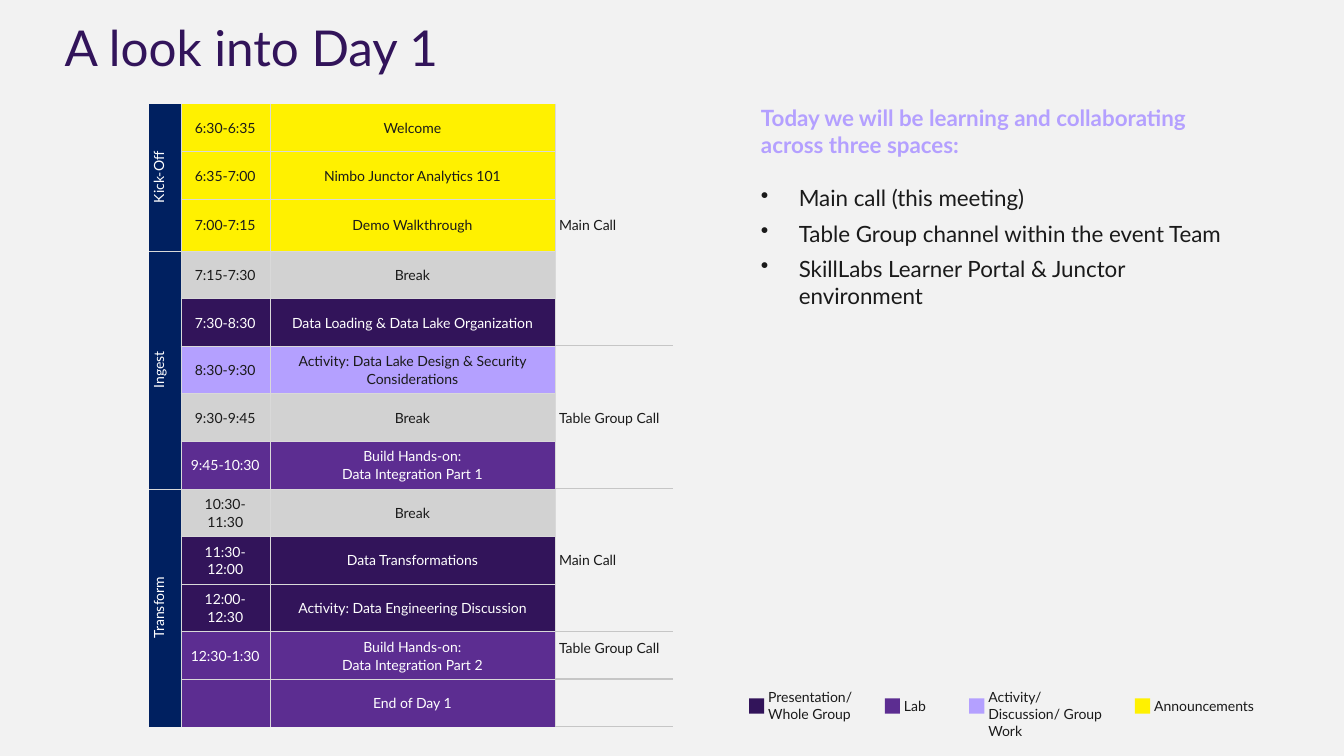
from collections import namedtuple
from dataclasses import dataclass

from lxml import etree
from pptx import Presentation
from pptx.dml.color import RGBColor
from pptx.enum.shapes import MSO_SHAPE
from pptx.enum.text import MSO_ANCHOR, PP_ALIGN
from pptx.oxml.ns import qn
from pptx.util import Pt

RECTANGLE = MSO_SHAPE.RECTANGLE
MIDDLE = MSO_ANCHOR.MIDDLE
CENTER, LEFT = PP_ALIGN.CENTER, PP_ALIGN.LEFT

Box = namedtuple("Box", "left top width height")


@dataclass(frozen=True)
class Theme:
    font: str = "Lato"
    background: str = "F2F2F2"
    ink: str = "1A1A1A"
    white: str = "FFFFFF"
    navy: str = "002060"
    presentation: str = "32145A"
    lab: str = "5C2D91"
    activity: str = "B4A0FF"
    announcement: str = "FFF100"
    pause: str = "D2D2D2"
    grid: str = "D9D9D9"
    divider: str = "C6C6C6"
    title_size: float = 35.3
    body_size: float = 16
    small_size: float = 10


THEME = Theme()
DARK_FILLS = (THEME.navy, THEME.presentation, THEME.lab)
GRID_LINE = (THEME.grid, 0.25)
DIVIDER_LINE = (THEME.divider, 1)

SESSIONS = [
    ("6:30-6:35", "Welcome", THEME.announcement),
    ("6:35-7:00", "Nimbo Junctor Analytics 101", THEME.announcement),
    ("7:00-7:15", "Demo Walkthrough", THEME.announcement),
    ("7:15-7:30", "Break", THEME.pause),
    ("7:30-8:30", "Data Loading & Data Lake Organization", THEME.presentation),
    ("8:30-9:30", "Activity: Data Lake Design & Security Considerations", THEME.activity),
    ("9:30-9:45", "Break", THEME.pause),
    ("9:45-10:30", "Build Hands-on:\nData Integration Part 1", THEME.lab),
    ("10:30-11:30", "Break", THEME.pause),
    ("11:30-12:00", "Data Transformations", THEME.presentation),
    ("12:00-12:30", "Activity: Data Engineering Discussion", THEME.presentation),
    ("12:30-1:30", "Build Hands-on:\nData Integration Part 2", THEME.lab),
    ("", "End of Day 1", THEME.lab),
]
STAGES = [("Kick-Off", 3), ("Ingest", 5), ("Transform", 5)]
PLACES = [("Main Call", 5), ("Table Group Call", 3), ("Main Call", 3),
          ("Table Group Call", 1), ("", 1)]
COLUMN_WIDTHS = (22.6, 63.6, 203.8, 84)
ROW_HEIGHT, DEMO_ROW, DEMO_ROW_HEIGHT = 34, 2, 36.8
LAST_CALL_ROW, LAST_CALL_LIFT = 11, 11.5

HEADING = "Today we will be learning and collaborating across three spaces:"
SPACES = ["Main call (this meeting)", "Table Group channel within the event Team",
          "SkillLabs Learner Portal & Junctor environment"]
LEGEND = [  # label, colour, label width, lines
    ("Presentation/\nWhole Group", THEME.presentation, 69.8, 2),
    ("Lab", THEME.lab, 33.1, 1),
    ("Activity/ Discussion/ Group Work", THEME.activity, 91.2, 2),
    ("Announcements", THEME.announcement, 83.5, 1),
]


def set_all(target, values):
    for name, value in values.items():
        setattr(target, name, value)


def format_paragraph(paragraph, size, color, bold=False, **values):
    set_all(paragraph, values)
    for run in paragraph.runs:
        set_all(run.font, {"name": THEME.font, "size": Pt(size), "bold": bold})
        run.font.color.rgb = RGBColor.from_string(color)


def add_text_box(slide, box, text, margins=(0, 0, 0, 0)):
    frame = slide.shapes.add_textbox(*map(Pt, box)).text_frame
    sides = ("margin_left", "margin_top", "margin_right", "margin_bottom")
    set_all(frame, dict(zip(sides, map(Pt, margins))))
    frame.word_wrap = True
    frame.text = text
    return frame


def add_title(slide, box):
    frame = add_text_box(slide, box, "A look into Day 1", (14.4, 11.5, 14.4, 11.5))
    format_paragraph(frame.paragraphs[0], THEME.title_size, THEME.presentation, line_spacing=0.9)


def set_borders(cell, borders):
    """Draw the given sides (L, R, T, B) and clear the others."""
    properties = cell._tc.get_or_add_tcPr()
    for index, side in enumerate("LRTB"):
        line = etree.Element(qn(f"a:ln{side}"))
        if side in borders:
            color, width = borders[side]
            line.set("w", str(Pt(width)))
            fill = etree.SubElement(line, qn("a:solidFill"))
            etree.SubElement(fill, qn("a:srgbClr"), val=color)
        else:
            etree.SubElement(line, qn("a:noFill"))
        properties.insert(index, line)


def fill_cell(cell, text, color, margin, alignment=CENTER):
    cell.fill.solid()
    cell.fill.fore_color.rgb = RGBColor.from_string(color)
    set_all(cell, {"vertical_anchor": MIDDLE, "margin_left": Pt(margin),
                   "margin_right": Pt(margin), "margin_top": 0, "margin_bottom": 0})
    cell.text = text
    ink = THEME.white if color in DARK_FILLS else THEME.ink
    for paragraph in cell.text_frame.paragraphs:
        format_paragraph(paragraph, THEME.small_size, ink, alignment=alignment, line_spacing=1.07)


def fill_spans(table, column, spans, color, margin, alignment, line, outer_sides):
    """Merge a column into labelled spans with a line between neighbours."""
    row = 0
    for text, count in spans:
        last = row + count - 1
        for index in range(row, last + 1):
            cell = table.cell(index, column)
            fill_cell(cell, text if index == row else "", color, margin, alignment)
            borders = dict.fromkeys(outer_sides, GRID_LINE)
            if index == row and row > 0:
                borders["T"] = line
            if index in (row, last) and (last < len(SESSIONS) - 1 or line == DIVIDER_LINE):
                borders["B"] = line
            set_borders(cell, borders)
        if count > 1:
            table.cell(row, column).merge(table.cell(last, column))
        row = last + 1


def add_agenda(slide, box):
    frame = slide.shapes.add_table(len(SESSIONS), len(COLUMN_WIDTHS), *map(Pt, box))
    table = frame.table
    set_all(table, {"first_row": False, "horz_banding": False})
    for column, width in zip(table.columns, COLUMN_WIDTHS):
        column.width = Pt(width)
    for index, row in enumerate(table.rows):
        row.height = Pt(DEMO_ROW_HEIGHT if index == DEMO_ROW else ROW_HEIGHT)

    for index, (time, title, color) in enumerate(SESSIONS):
        sides = "LR" + ("T" if index else "") + ("B" if index < len(SESSIONS) - 1 else "")
        for column, text, margin in ((1, time, 5), (2, title, 2.9)):
            cell = table.cell(index, column)
            fill_cell(cell, text, color, margin)
            set_borders(cell, dict.fromkeys(sides, GRID_LINE))

    fill_spans(table, 0, STAGES, THEME.navy, 5, CENTER, GRID_LINE, "R")
    fill_spans(table, 3, PLACES, THEME.background, 2.9, LEFT, DIVIDER_LINE, "L")
    for index in range(len(SESSIONS)):
        table.cell(index, 0)._tc.get_or_add_tcPr().set("vert", "vert270")
    table.cell(LAST_CALL_ROW, 3).margin_bottom = Pt(LAST_CALL_LIFT)


def add_spaces(slide, box):
    frame = add_text_box(slide, box, "\n".join([HEADING, *SPACES]))
    heading, *bullets = frame.paragraphs
    format_paragraph(heading, THEME.body_size, THEME.activity, bold=True, space_after=Pt(19.2))
    for paragraph in bullets:
        properties = paragraph._p.get_or_add_pPr()
        properties.set("marL", str(Pt(27)))
        properties.set("indent", str(-Pt(27)))
        etree.SubElement(properties, qn("a:buChar"), char="•")
        format_paragraph(paragraph, THEME.body_size, THEME.ink, space_after=Pt(6))


def add_legend(slide, box):
    swatch_size, label_offset, gap, line_height = 10.8, 13.7, 13.5, 12.24
    left, middle = box.left, box.top + box.height / 2
    for label, color, width, lines in LEGEND:
        swatch = slide.shapes.add_shape(RECTANGLE, Pt(left), Pt(middle - swatch_size / 2),
                                        Pt(swatch_size), Pt(swatch_size))
        swatch.shadow.inherit = False
        swatch.fill.solid()
        swatch.fill.fore_color.rgb = RGBColor.from_string(color)
        swatch.line.fill.background()
        height = lines * line_height
        label_box = Box(left + label_offset, middle - height / 2, width, height)
        frame = add_text_box(slide, label_box, label, (0, 0, 3, 0))
        for paragraph in frame.paragraphs:
            format_paragraph(paragraph, THEME.small_size, THEME.ink)
        left += label_offset + width + gap


def main():
    presentation = Presentation()
    set_all(presentation, {"slide_width": Pt(960), "slide_height": Pt(540)})
    slide = presentation.slides.add_slide(presentation.slide_layouts[6])
    slide.background.fill.solid()
    slide.background.fill.fore_color.rgb = RGBColor.from_string(THEME.background)
    add_title(slide, Box(31.7, 5.8, 325.4, 61.2))
    add_agenda(slide, Box(106.5, 74.2, 374, 444.8))
    add_spaces(slide, Box(543.6, 74.2, 352, 147.6))
    add_legend(slide, Box(535, 492, 374, 24.6))
    presentation.save("out.pptx")


if __name__ == "__main__":
    main()
